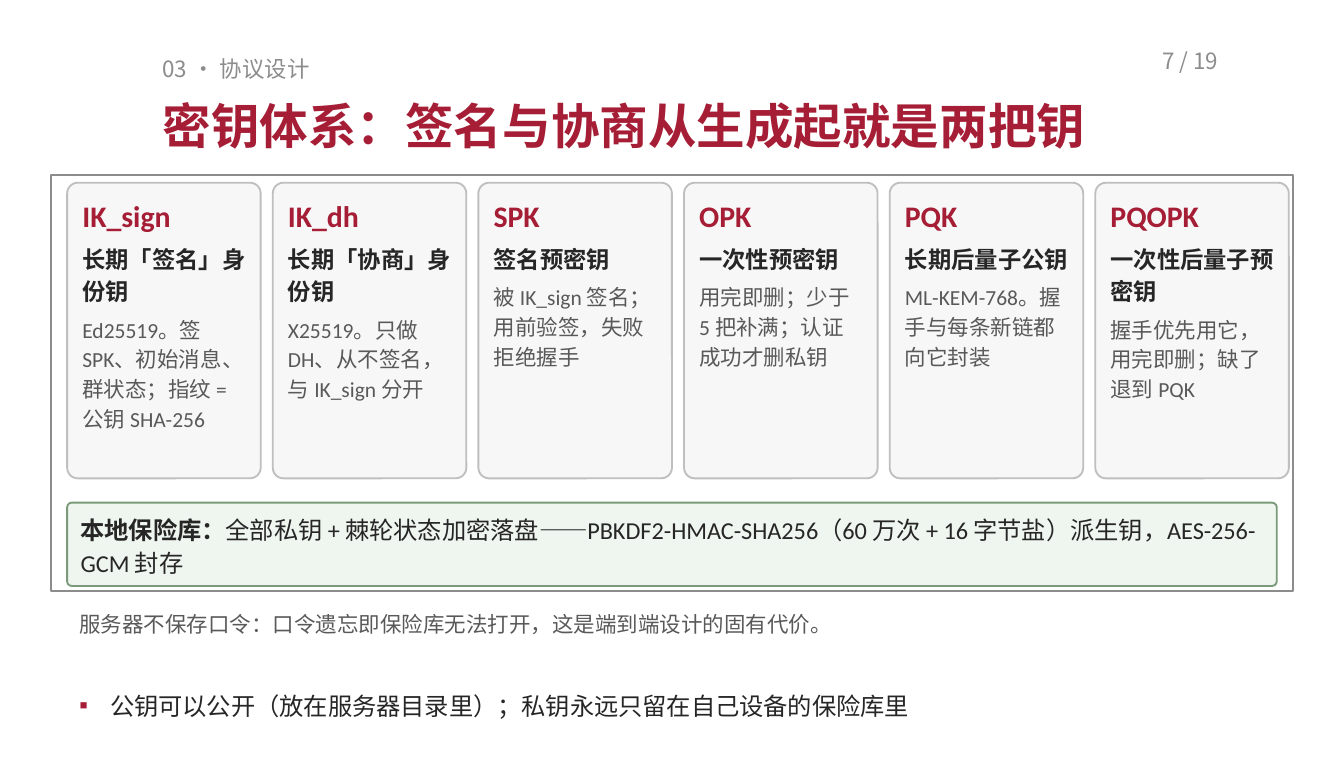
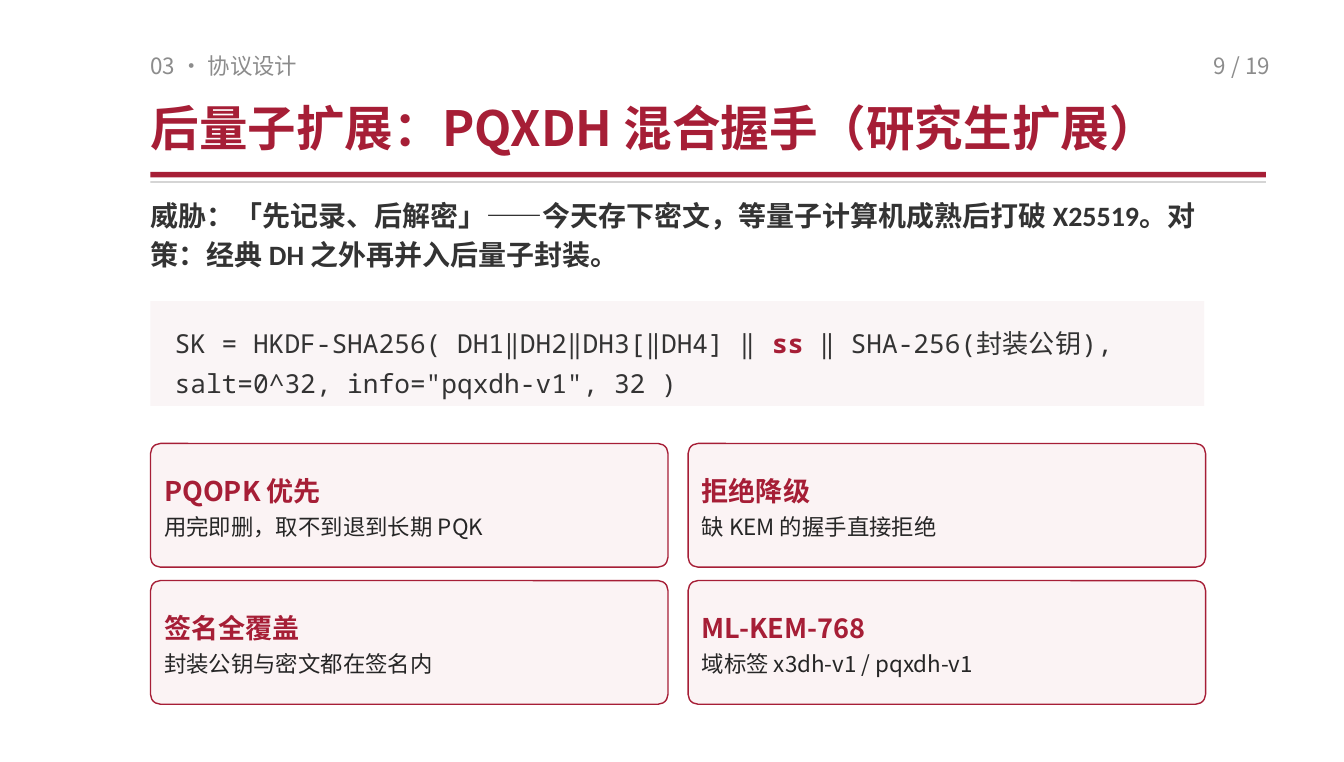
from dataclasses import dataclass, replace

from lxml import etree
from pptx import Presentation
from pptx import util as u
from pptx.dml.color import RGBColor
from pptx.enum import shapes, text
from pptx.oxml import ns

PX = 9144  # EMU per px, 100 px to the inch


@dataclass(frozen=True)
class Style:
    size: float
    color: str
    bold: bool = False
    font: str = "Noto Sans CJK SC"


@dataclass(frozen=True)
class Flow:
    """Paragraph spacing and box insets (left, top, right, bottom)."""
    line: float = 1.0
    after: float = 0
    insets: tuple = (0, 0, 0, 0)
    anchor: text.MSO_ANCHOR = text.MSO_ANCHOR.TOP
    align: text.PP_ALIGN = text.PP_ALIGN.LEFT


class Theme:
    red, ink, dark = "A61E36", "262626", "333333"
    body_gray, label_gray, line_gray = "595959", "8C8C8C", "BFBFBF"
    card_fill, vault_fill, vault_line = "F7F7F7", "EFF5EF", "7A9A7A"
    point_fill, code_fill = "FBF3F4", "FAF5F6"

    label = Style(12, label_gray)
    title = Style(26, red, True)
    key_name = Style(16, red, True, "Calibri")
    key_role = Style(12.5, ink, True, "Calibri")
    key_detail = Style(11.5, body_gray, font="Calibri")
    vault = Style(13, ink, font="Calibri")
    vault_lead = replace(vault, bold=True)
    caption = Style(11.5, body_gray)
    threat = Style(15, dark, True, "Calibri")
    code = Style(14, dark, font="Noto Sans Mono")
    code_mark = replace(code, color=red, bold=True)
    point_head = Style(14.5, red, True)
    point_body = Style(12, ink)

    padded = Flow(1.1, 3, (9, 5, 9, 4))
    card = replace(padded, line=1.15, after=4)
    flush = Flow(1.25, 4)
    threat_flow = Flow(1.15, 4)
    point = Flow(1.12, 2, (8, 3, 8, 3), text.MSO_ANCHOR.MIDDLE)
    page_left = Flow(insets=(10, 5, 10, 5))
    page_right = replace(flush, align=text.PP_ALIGN.RIGHT)


KEYS = [
    ("IK_sign", "长期「签名」身份钥", "Ed25519。签 SPK、初始消息、群状态；指纹 = 公钥 SHA-256"),
    ("IK_dh", "长期「协商」身份钥", "X25519。只做 DH、从不签名，与 IK_sign 分开"),
    ("SPK", "签名预密钥", "被 IK_sign 签名；用前验签，失败拒绝握手"),
    ("OPK", "一次性预密钥", "用完即删；少于 5 把补满；认证成功才删私钥"),
    ("PQK", "长期后量子公钥", "ML-KEM-768。握手与每条新链都向它封装"),
    ("PQOPK", "一次性后量子预密钥", "握手优先用它，用完即删；缺了退到 PQK"),
]
POINTS = [
    ("PQOPK 优先", "用完即删，取不到退到长期 PQK"),
    ("拒绝降级", "缺 KEM 的握手直接拒绝"),
    ("签名全覆盖", "封装公钥与密文都在签名内"),
    ("ML-KEM-768", "域标签 x3dh-v1 / pqxdh-v1"),
]


def emu(box):
    return [length * PX for length in box]


def rgb(color):
    return RGBColor.from_string(color)


def set_font(font, style):
    font.size, font.bold, font.name = u.Pt(style.size), style.bold, style.font
    font.color.rgb = rgb(style.color)
    east_asian = etree.SubElement(font._element, ns.qn("a:ea"))
    east_asian.set("typeface", "Noto Sans CJK SC")


def write(frame, flow, *paragraphs):
    """Fill a frame; each paragraph is a list of (style, words) runs."""
    frame.word_wrap = True
    frame.vertical_anchor = flow.anchor
    (frame.margin_left, frame.margin_top,
     frame.margin_right, frame.margin_bottom) = emu(flow.insets)
    for number, runs in enumerate(paragraphs):
        paragraph = frame.paragraphs[0] if number == 0 else frame.add_paragraph()
        paragraph.alignment = flow.align
        paragraph.line_spacing = flow.line
        paragraph.space_before = u.Pt(0)
        paragraph.space_after = u.Pt(flow.after)
        for style, words in runs:
            run = paragraph.add_run()
            run.text = words
            if len(runs) > 1:
                set_font(run.font, style)
        if len(runs) == 1:
            set_font(paragraph.font, runs[0][0])


def add_label(slide, box, flow, *runs):
    frame = slide.shapes.add_textbox(*emu(box)).text_frame
    write(frame, flow, runs)
    frame.auto_size = text.MSO_AUTO_SIZE.SHAPE_TO_FIT_TEXT
    return frame


def add_bullet(slide, box, style, words):
    paragraph = add_label(slide, box, Theme.card, (style, words)).paragraphs[0]
    props = paragraph._p.get_or_add_pPr()
    props.set("marL", str(23 * PX))
    props.set("indent", str(-23 * PX))
    color = etree.Element(ns.qn("a:buClr"))
    etree.SubElement(color, ns.qn("a:srgbClr")).set("val", Theme.red)
    face = etree.Element(ns.qn("a:buFont"))
    face.set("typeface", style.font)
    mark = etree.Element(ns.qn("a:buChar"))
    mark.set("char", "▪")
    defaults = props.find(ns.qn("a:defRPr"))
    for part in (color, face, mark):
        defaults.addprevious(part)


def add_panel(slide, box, fill=None, line=None, width=1, corner=None):
    kind = shapes.MSO_SHAPE.ROUNDED_RECTANGLE if corner else shapes.MSO_SHAPE.RECTANGLE
    panel = slide.shapes.add_shape(kind, *emu(box))
    panel.shadow.inherit = False
    if corner:
        panel.adjustments[0] = corner
    if fill:
        panel.fill.solid()
        panel.fill.fore_color.rgb = rgb(fill)
    else:
        panel.fill.background()
    if line:
        panel.line.color.rgb = rgb(line)
        panel.line.width = u.Pt(width)
    else:
        panel.line.fill.background()
    return panel


def start_slide(deck, title, page, flow, page_top, page_flow):
    """Add a slide with its section label, title and page number."""
    slide = deck.slides.add_slide(deck.slide_layouts[5])
    heading = slide.shapes.title
    heading.left, heading.top, heading.width, heading.height = emu((112, 62, 830, 62))
    write(heading.text_frame, flow, [(Theme.title, title)])
    heading.text_frame.auto_size = text.MSO_AUTO_SIZE.SHAPE_TO_FIT_TEXT
    add_label(slide, (112, 34, 450, 30), flow, (Theme.label, "03 · 协议设计"))
    add_label(slide, (855, page_top, 90, 30), page_flow, (Theme.label, f"{page} / 19"))
    return slide


def build_key_system(deck):
    slide = start_slide(deck, "密钥体系：签名与协商从生成起就是两把钥", 7,
                        Theme.padded, 30, Theme.page_left)
    for column, (name, role, detail) in enumerate(KEYS):
        card = add_panel(slide, (50 + 153 * column, 136, 144, 220),
                         Theme.card_fill, Theme.line_gray, corner=0.055)
        write(card.text_frame, Theme.card, [(Theme.key_name, name)],
              [(Theme.key_role, role)], [(Theme.key_detail, detail)])
    vault = add_panel(slide, (50, 374, 900, 62), Theme.vault_fill,
                      Theme.vault_line, corner=0.055)
    write(vault.text_frame, Theme.card, [
        (Theme.vault_lead, "本地保险库："),
        (Theme.vault, "全部私钥 + 棘轮状态加密落盘——PBKDF2-HMAC-SHA256"
                      "（60 万次 + 16 字节盐）派生钥，AES-256-GCM 封存")])
    add_label(slide, (50, 448, 900, 35), Theme.padded,
              (Theme.caption, "服务器不保存口令：口令遗忘即保险库无法打开，这是端到端设计的固有代价。"))
    add_bullet(slide, (50, 506, 905, 55), Theme.vault,
               "公钥可以公开（放在服务器目录里）；私钥永远只留在自己设备的保险库里")
    add_panel(slide, (38, 130, 924, 310), line=Theme.label_gray)


def build_hybrid_handshake(deck):
    slide = start_slide(deck, "后量子扩展：PQXDH 混合握手（研究生扩展）", 9,
                        Theme.flush, 34, Theme.page_right)
    add_label(slide, (112, 144, 785, 70), Theme.threat_flow,
              (Theme.threat, "威胁：「先记录、后解密」——今天存下密文，等量子计算机成熟后打破 "
                             "X25519。对策：经典 DH 之外再并入后量子封装。"))
    add_panel(slide, (112, 224, 784, 78), Theme.code_fill)
    add_label(slide, (130, 238, 750, 55), Theme.flush,
              (Theme.code, "SK = HKDF-SHA256( DH1‖DH2‖DH3[‖DH4] ‖ "),
              (Theme.code_mark, "ss"),
              (Theme.code, ' ‖ SHA-256(封装公钥), salt=0^32, info="pqxdh-v1", 32 )'))
    for number, (head, body) in enumerate(POINTS):
        row, column = divmod(number, 2)
        point = add_panel(slide, (112 + 400 * column, 330 + 102 * row, 385, 92),
                          Theme.point_fill, Theme.red, 0.75, 0.08)
        write(point.text_frame, Theme.point,
              [(Theme.point_head, head)], [(Theme.point_body, body)])
    add_panel(slide, (112, 128, 830, 4), Theme.red)
    add_panel(slide, (112, 135, 830, 1), Theme.line_gray)


def main():
    deck = Presentation()
    deck.slide_width, deck.slide_height = emu((1000, 567))
    build_key_system(deck)
    build_hybrid_handshake(deck)
    deck.save("out.pptx")


if __name__ == "__main__":
    main()
